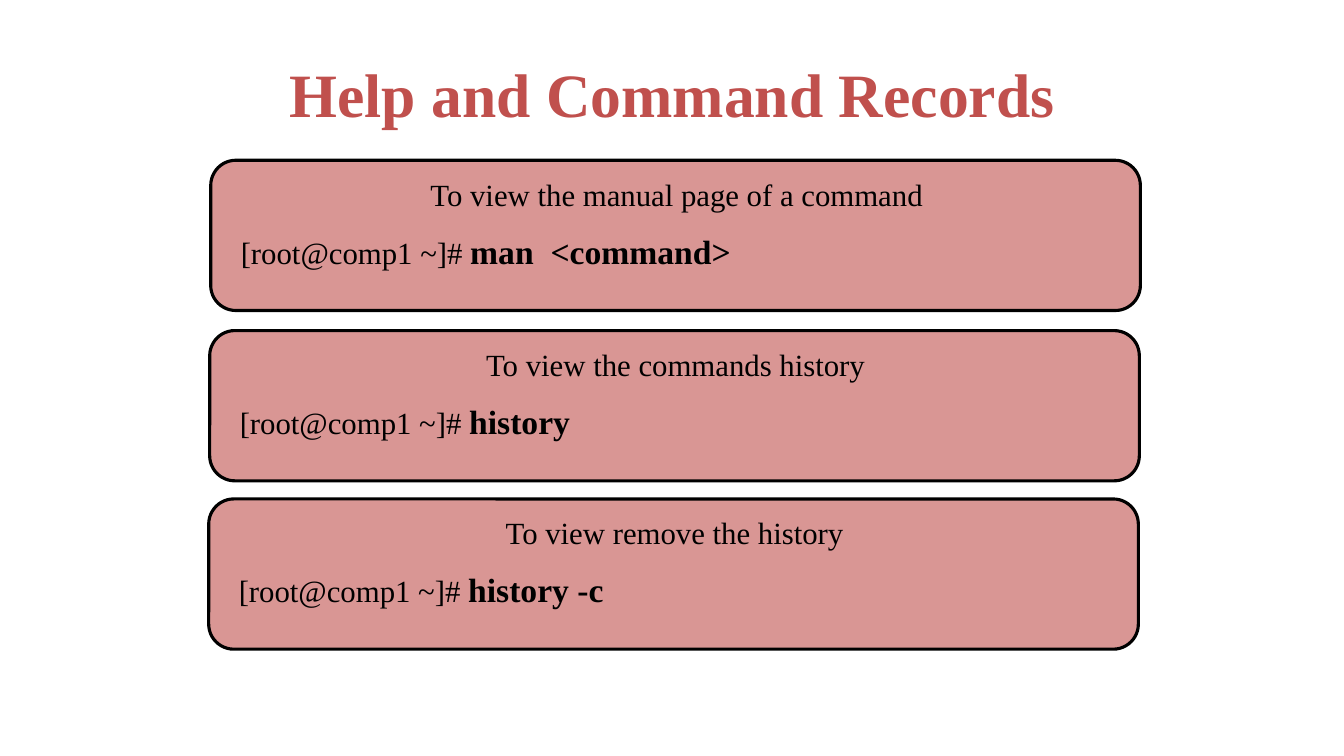
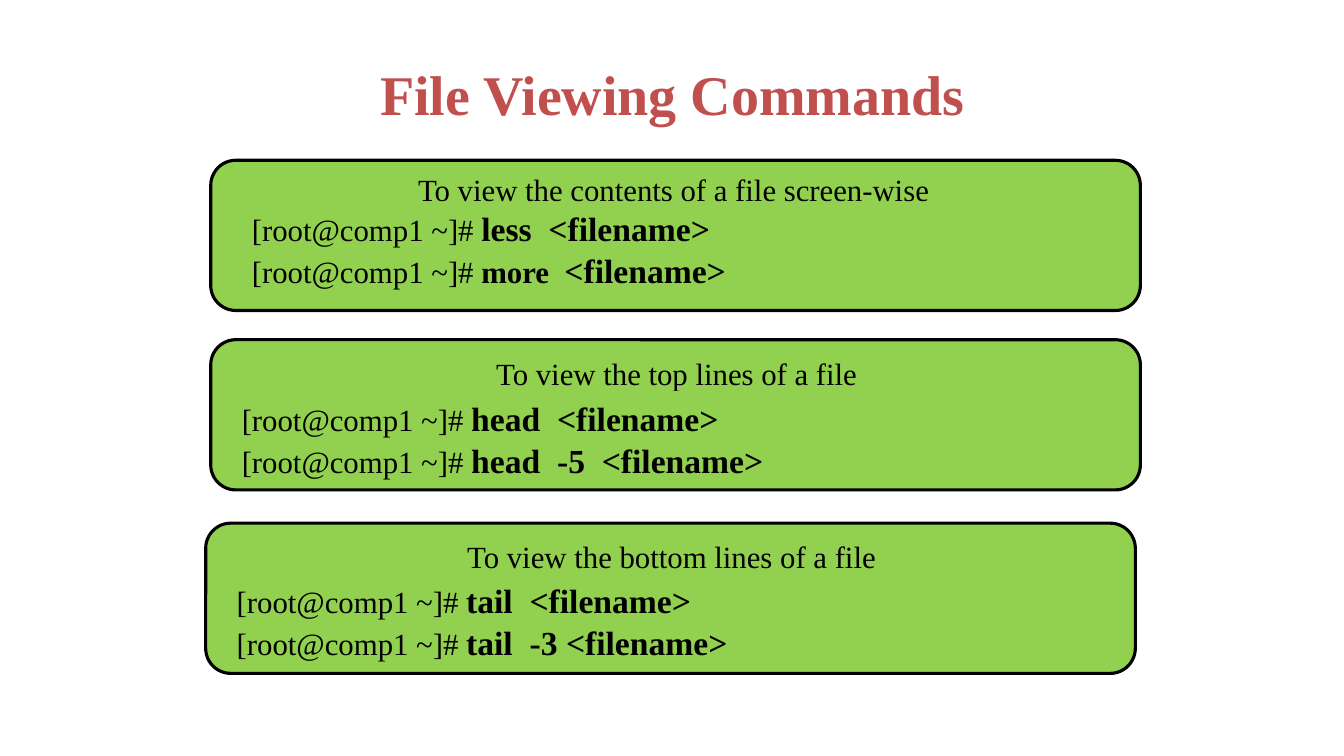
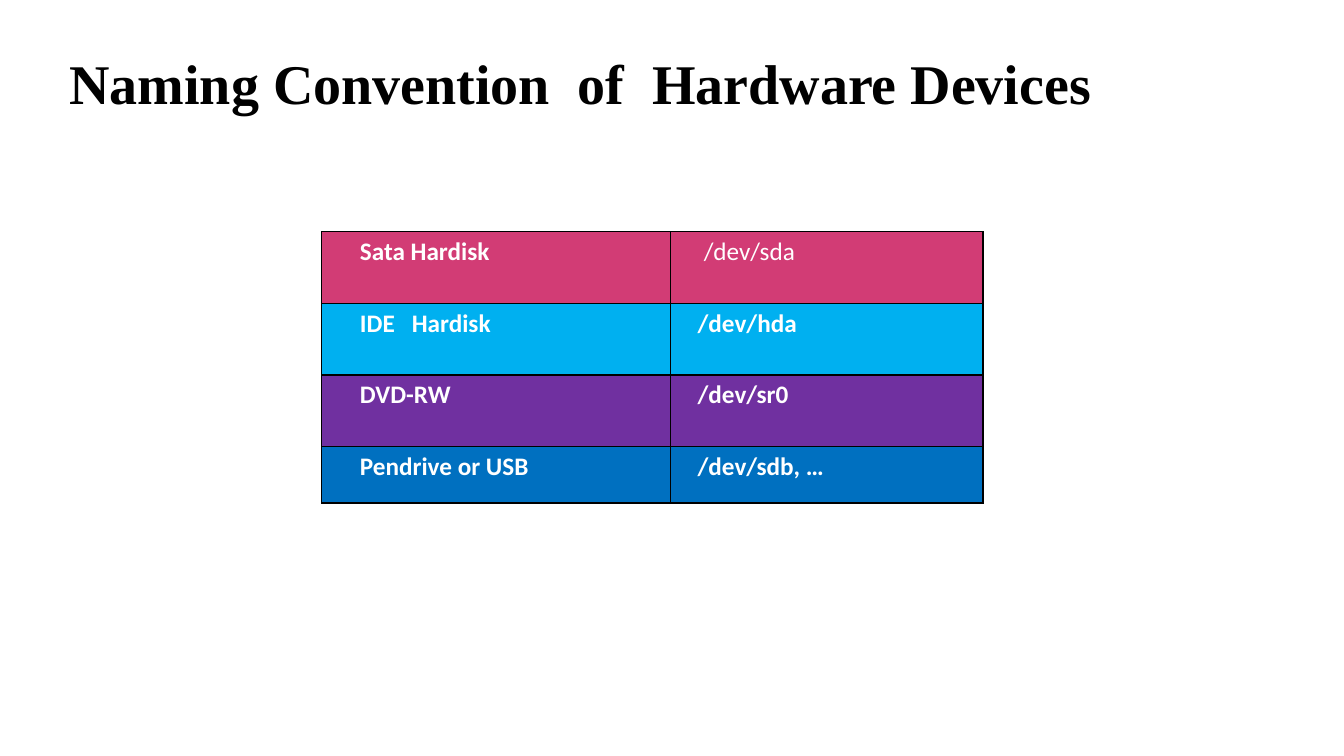
import pptx
import pptx.util
import pptx.dml.color
import pptx.enum.shapes
import pptx.enum.text
import pptx.oxml
import pptx.oxml.ns

RGBColor = pptx.dml.color.RGBColor
BLACK = RGBColor(0x00, 0x00, 0x00)
WHITE = RGBColor(0xFF, 0xFF, 0xFF)
RED = RGBColor(0xC0, 0x50, 0x4D)
ROSE = RGBColor(0xD9, 0x96, 0x94)
GREEN = RGBColor(0x92, 0xD0, 0x50)
PINK = RGBColor(0xD2, 0x3C, 0x75)
SKY = RGBColor(0x00, 0xB0, 0xF0)
PURPLE = RGBColor(0x70, 0x30, 0xA0)
BLUE = RGBColor(0x00, 0x70, 0xC0)

PX = 9144
PROMPT = "[root@comp1 ~]# "
CENTER = pptx.enum.text.PP_ALIGN.CENTER
LEFT = pptx.enum.text.PP_ALIGN.LEFT
TOP = pptx.enum.text.MSO_ANCHOR.TOP
MIDDLE = pptx.enum.text.MSO_ANCHOR.MIDDLE
SHAPES = pptx.enum.shapes.MSO_SHAPE


def px(*lengths):
    return [pptx.util.Emu(n * PX) for n in lengths]


class Deck:
    serif = "Times New Roman"
    sans = "Calibri"

    def __init__(self):
        self.prs = pptx.Presentation()
        self.prs.slide_width, self.prs.slide_height = px(1333, 750)
        self.s = None

    def slide(self):
        self.s = self.prs.slides.add_slide(self.prs.slide_layouts[6])

    def style(self, p, name, size, color, bold=False):
        p.font.name = name
        p.font.size = pptx.util.Pt(size)
        p.font.color.rgb = color
        p.font.bold = bold

    def title(self, text, size, color=RED, box=(67, 30, 1200, 125)):
        tf = self.s.shapes.add_textbox(*px(*box)).text_frame
        tf.word_wrap = True
        tf.vertical_anchor = MIDDLE
        p = tf.paragraphs[0]
        p.text = text
        p.alignment = CENTER
        self.style(p, self.serif, size, color, True)

    def panel(self, kind, box, fill):
        sp = self.s.shapes.add_shape(kind, *px(*box))
        sp.shadow.inherit = False
        sp.fill.solid()
        sp.fill.fore_color.rgb = fill
        sp.line.fill.background()
        return sp

    def lines(self, box, fill, rows, align, spacing=None):
        tf = self.panel(SHAPES.RECTANGLE, box, fill).text_frame
        tf.word_wrap = True
        tf.vertical_anchor = TOP
        for i, runs in enumerate(rows):
            p = tf.add_paragraph() if i else tf.paragraphs[0]
            p.alignment = align
            p.line_spacing = spacing
            self.style(p, self.serif, 22, BLACK)
            for text, size, bold in runs:
                r = p.add_run()
                r.text = text
                r.font.size = pptx.util.Pt(size)
                r.font.bold = bold

    def card(self, left, top, fill, caption, commands,
             caption_dy=10, command_dx=20, command_dy=63, width=884):
        outline = self.panel(SHAPES.ROUNDED_RECTANGLE, (left, top, 922, 149), fill)
        outline.line.color.rgb = BLACK
        outline.line.width = pptx.util.Pt(2.25)
        self.lines((left + 20, top + caption_dy, width, 47), fill,
                   [[(caption, 22, False)]], CENTER)
        rows = [[(PROMPT, 22, False)] + [(text, size, True) for text, size in command]
                for command in commands]
        self.lines((left + command_dx, top + command_dy, width, 10 + 42 * len(rows)),
                   fill, rows, LEFT, pptx.util.Pt(30))

    def cell(self, cell, text, fill, indent, bold):
        cell.fill.solid()
        cell.fill.fore_color.rgb = fill
        cell.margin_left, = px(indent)
        p = cell.text_frame.paragraphs[0]
        p.text = text
        self.style(p, self.sans, 18, WHITE, bold)
        tcPr = cell._tc.get_or_add_tcPr()
        for i, side in enumerate("LRTB"):
            tcPr.insert(i, pptx.oxml.parse_xml(
                f'<a:ln{side} {pptx.oxml.ns.nsdecls("a")} w="12700"><a:solidFill>'
                f'<a:srgbClr val="{BLACK}"/></a:solidFill></a:ln{side}>'))

    def table(self, left, top, widths, heights, rows):
        box = px(left, top, sum(widths), sum(heights))
        table = self.s.shapes.add_table(len(rows), len(widths), *box).table
        table.first_row = table.horz_banding = False
        for column, width in zip(table.columns, px(*widths)):
            column.width = width
        for i, (height, (fill, cells)) in enumerate(zip(px(*heights), rows)):
            table.rows[i].height = height
            for j, (text, indent, bold) in enumerate(cells):
                self.cell(table.cell(i, j), text, fill, indent, bold)


def main():
    deck = Deck()

    deck.slide()
    deck.title("Help and Command Records", 44)
    for left, top, caption, command in (
        (209, 159, "To view the manual page of a command", "man  <command>"),
        (208, 328, "To view the commands history", "history"),
        (207, 495, "To view remove the history", "history -c"),
    ):
        deck.card(left, top, ROSE, caption, [[(command, 24)]])

    deck.slide()
    deck.title("File Viewing Commands", 40)
    deck.card(209, 159, GREEN, "To view the contents of a file screen-wise",
              [[("less  <filename>", 24)], [("more  ", 22), ("<filename>", 24)]],
              caption_dy=5, command_dx=31, command_dy=41, width=878)
    for left, top, caption, commands, command_dy in (
        (209, 337, "To view the top lines of a file",
         ("head  <filename>", "head  -5  <filename>"), 51),
        (204, 519, "To view the bottom lines of a file",
         ("tail  <filename>", "tail  -3 <filename>"), 50),
    ):
        deck.card(left, top, GREEN, caption, [[(c, 24)] for c in commands],
                  command_dx=21, command_dy=command_dy)

    deck.slide()
    deck.title("Naming Convention  of  Hardware Devices", 40, BLACK, (42, 48, 1067, 67))
    deck.table(319, 230, (346, 310), (71, 71, 71, 56), (
        (PINK, (("Sata Hardisk", 38, True), ("/dev/sda", 33, False))),
        (SKY, (("IDE   Hardisk", 38, True), ("/dev/hda", 27, True))),
        (PURPLE, (("DVD-RW", 38, True), ("/dev/sr0", 27, True))),
        (BLUE, (("Pendrive or USB", 38, True), ("/dev/sdb, …", 27, True))),
    ))

    deck.prs.save("out.pptx")


if __name__ == "__main__":
    main()
